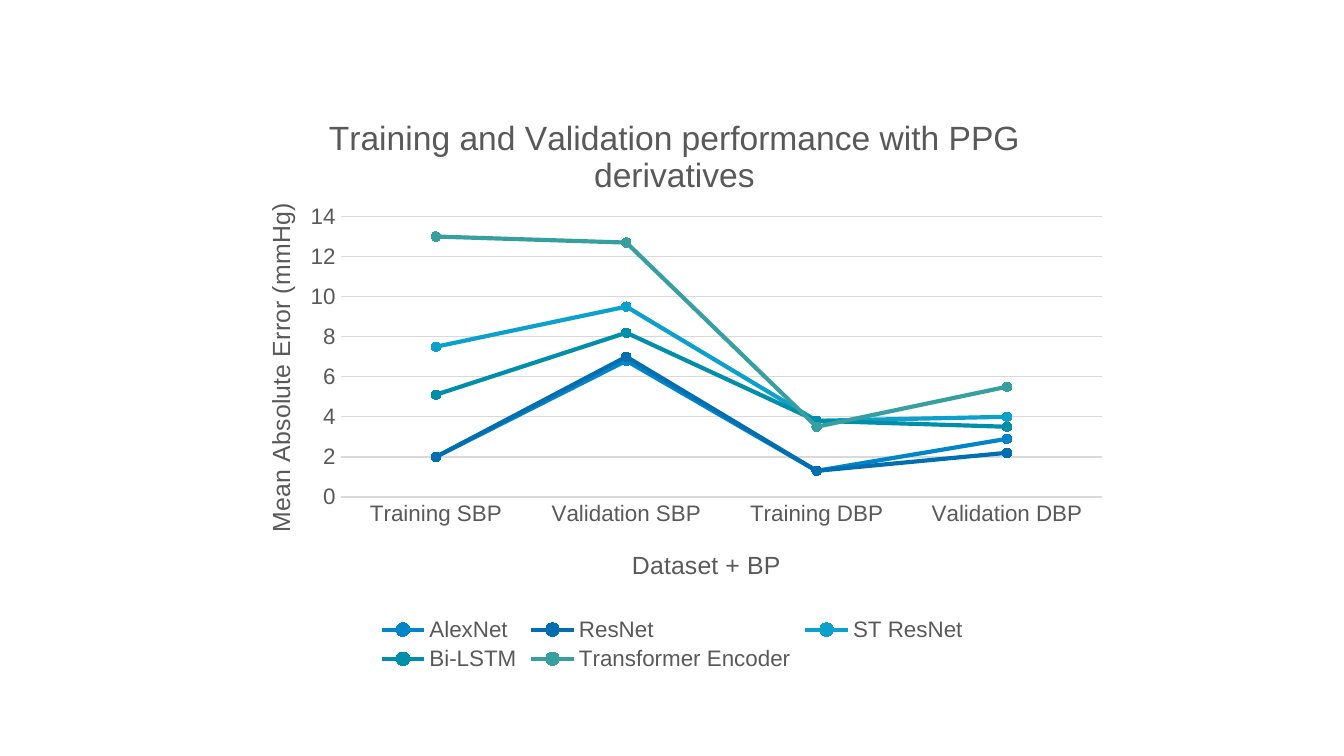
from pptx import Presentation
from pptx.chart.data import CategoryChartData as Data
from pptx.dml.color import RGBColor
from pptx.enum.chart import XL_CHART_TYPE as Kind, XL_LEGEND_POSITION as Spot
from pptx.enum.chart import XL_MARKER_STYLE as Mark, XL_TICK_MARK as Tick
from pptx.oxml.ns import qn
from pptx.util import Cm, Pt
from lxml.etree import SubElement as Sub

GREY, RULE = "595959", "D9D9D9"
CATS = ["Training SBP", "Validation SBP", "Training DBP", "Validation DBP"]
NETS = [
    ("AlexNet", "0085CA", (2, 6.8, 1.3, 2.9)),
    ("ResNet", "006EAF", (2, 7, 1.3, 2.2)),
    ("ST ResNet", "0CA1CD", (7.5, 9.5, 3.8, 4)),
    ("Bi-LSTM", "008EAA", (5.1, 8.2, 3.8, 3.5)),
    ("Transformer Encoder", "379F9F", (13, 12.7, 3.5, 5.5)),
]


def color(code):
    return RGBColor.from_string(code)


def style(font, size):
    font.name, font.size, font.bold = "Arial", Pt(size), False
    font.color.rgb = color(GREY)


def rule(line, code, width):
    line.color.rgb = color(code)
    line.width = Pt(width)


def place(part, **spots):
    """Set a manual layout, in fractions of the chart's size."""
    box = part.find(qn("c:layout"))
    if box is None:
        box = Sub(part, qn("c:layout"))
        part.insert(0 if part.find(qn("c:tx")) is None else 1, box)
    man = Sub(box, qn("c:manualLayout"))
    if "w" in spots:
        Sub(man, qn("c:layoutTarget")).set("val", "inner")
    for key in "xy":
        Sub(man, qn(f"c:{key}Mode")).set("val", "edge")
    for key, spot in spots.items():
        Sub(man, qn(f"c:{key}")).set("val", str(spot))


def add_title(title, text, size, x, y):
    run = title.text_frame.paragraphs[0].add_run()
    run.text = text
    style(run.font, size)
    place(title._element, x=x, y=y)


def set_axis(axis, text, x, y):
    axis.major_tick_mark = axis.minor_tick_mark = Tick.NONE
    style(axis.tick_labels.font, 12)
    add_title(axis.axis_title, text, 13.3, x, y)


def set_line(series, code):
    series.smooth = False
    rule(series.format.line, code, 2.25)
    mark = series.marker
    mark.style, mark.size = Mark.CIRCLE, 5
    mark.format.fill.solid()
    mark.format.fill.fore_color.rgb = color(code)
    rule(mark.format.line, code, 0.75)


def add_lines(slide):
    data = Data()
    data.categories = CATS
    for name, _, vals in NETS:
        data.add_series(name, vals)
    frame = slide.shapes.add_chart(Kind.LINE_MARKERS, Cm(4.24), Cm(1.5),
                                   Cm(16.93), Cm(11.28), data)
    chart = frame.chart
    style(chart.font, 10)
    chart.plots[0].vary_by_categories = False
    for series, (_, code, _) in zip(chart.plots[0].series, NETS):
        set_line(series, code)

    # Title and plot area
    add_title(chart.chart_title,
              "Training and Validation performance with PPG derivatives",
              18, 0.11, 0.05)
    place(chart._chartSpace.find(".//" + qn("c:plotArea")),
          x=0.13, y=0.23, w=0.85, h=0.47)

    # Axes
    cat, val = chart.category_axis, chart.value_axis
    set_axis(cat, "Dataset + BP", 0.45, 0.78)
    rule(cat.format.line, RULE, 0.75)
    set_axis(val, "Mean Absolute Error (mmHg)", 0.04, 0.2)
    val.format.line.fill.background()
    rule(val.major_gridlines.format.line, RULE, 0.75)
    val.minimum_scale, val.maximum_scale, val.major_unit = 0, 14, 2

    # Legend
    chart.has_legend = True
    chart.legend.position = Spot.BOTTOM
    chart.legend.include_in_layout = False
    style(chart.legend.font, 12)


def main():
    deck = Presentation()
    deck.slide_width, deck.slide_height = Cm(25.4), Cm(14.29)
    add_lines(deck.slides.add_slide(deck.slide_layouts[6]))
    deck.save("out.pptx")


if __name__ == "__main__":
    main()
